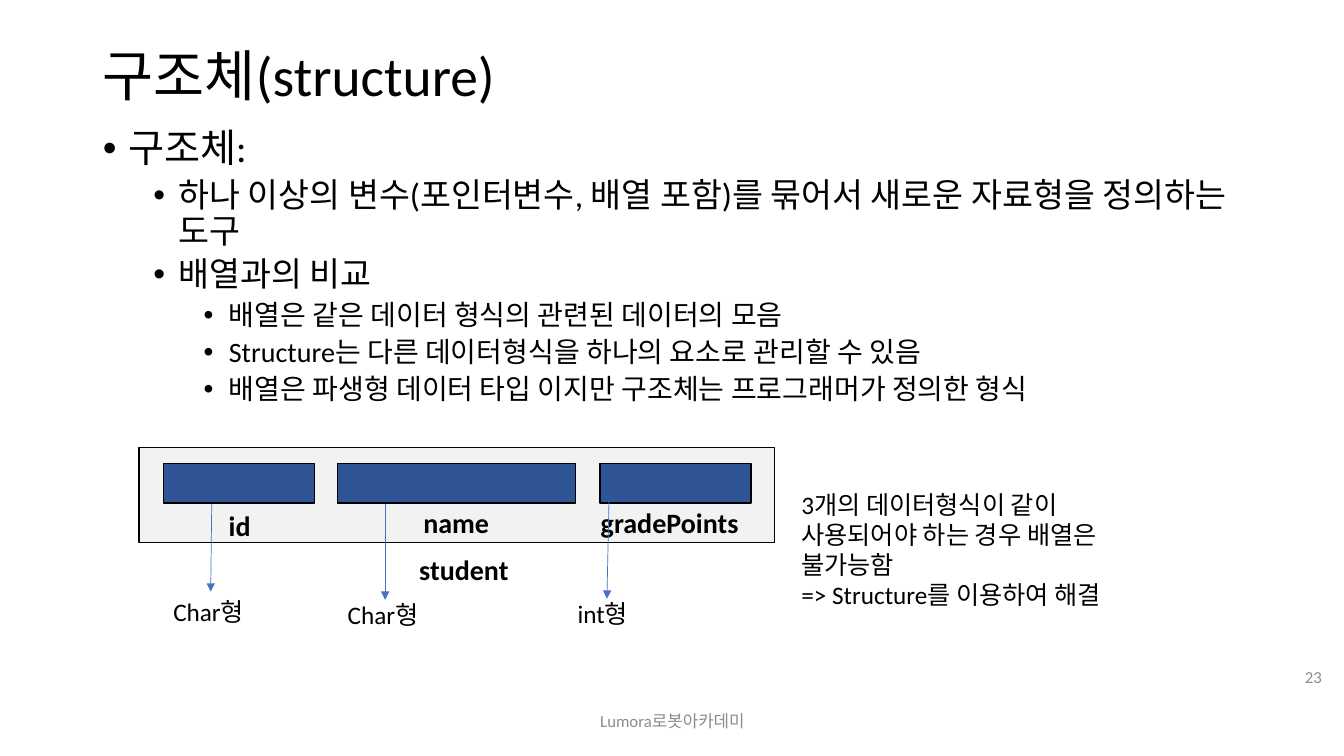
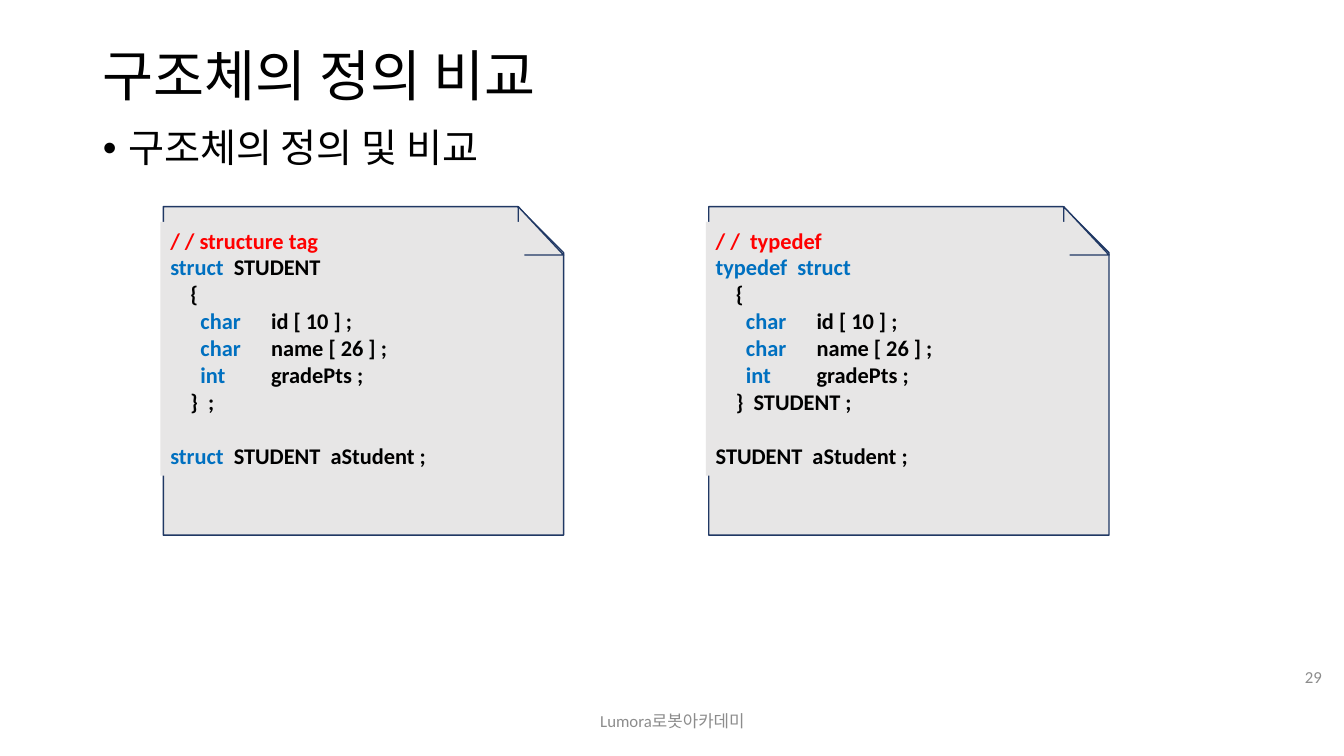
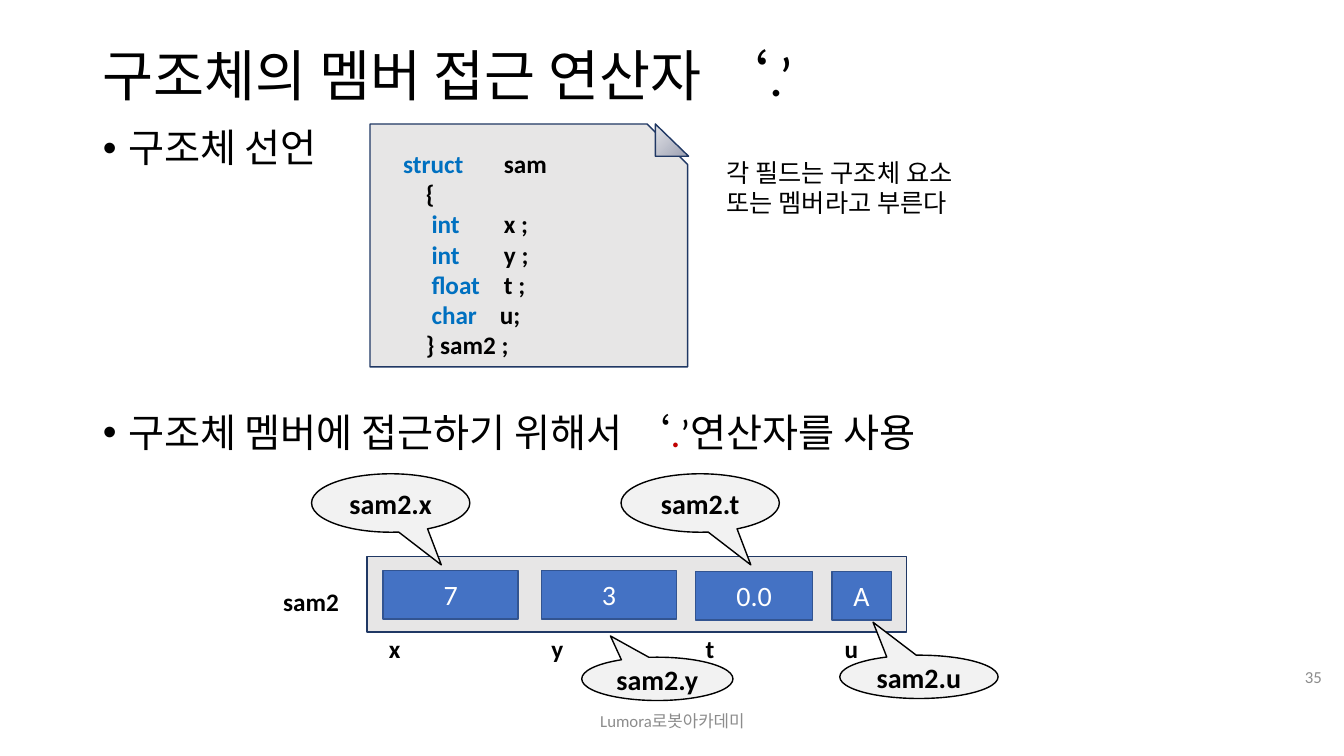
from dataclasses import dataclass
from typing import Any, NamedTuple, Sequence

from lxml import etree
from pptx import Presentation
from pptx.dml.color import RGBColor
from pptx.enum.shapes import MSO_CONNECTOR, MSO_SHAPE
from pptx.enum.text import MSO_ANCHOR, MSO_AUTO_SIZE, PP_ALIGN
from pptx.oxml.ns import qn
from pptx.util import Inches, Pt

RECT = MSO_SHAPE.RECTANGLE
SNIPPED = MSO_SHAPE.SNIP_1_RECTANGLE
FOLD = MSO_SHAPE.RIGHT_TRIANGLE
CALLOUT = MSO_SHAPE.OVAL_CALLOUT
STRAIGHT = MSO_CONNECTOR.STRAIGHT
TOP, MIDDLE = MSO_ANCHOR.TOP, MSO_ANCHOR.MIDDLE
LEFT, CENTER, RIGHT = PP_ALIGN.LEFT, PP_ALIGN.CENTER, PP_ALIGN.RIGHT
NO_FIT = MSO_AUTO_SIZE.NONE


@dataclass(frozen=True)
class Theme:
    font: str = "Calibri"
    ink: str = "000000"
    white: str = "FFFFFF"
    muted: str = "8C8C8C"
    keyword: str = "0070C0"
    comment: str = "FF0000"
    operator: str = "C00000"
    panel: str = "F2F2F2"
    paper: str = "E7E6E6"
    navy: str = "203864"
    field: str = "2F5597"
    cell: str = "4472C4"
    cell_edge: str = "325491"
    fold_dark: str = "9DA1B3"
    fold_light: str = "E2E3E7"
    title: float = 39.6
    bullets: tuple[float, ...] = (28, 24, 20)
    label: float = 20
    note: float = 18
    code: float = 16
    footer: float = 12


THEME = Theme()


class Box(NamedTuple):
    left: float
    top: float
    width: float
    height: float


class Span(NamedTuple):
    text: str
    color: str = THEME.ink


class Bullet(NamedTuple):
    spans: Sequence[Span]
    level: int = 0
    space_before: float | None = None


class TextStyle(NamedTuple):
    size: float
    bold: bool = False
    align: Any = LEFT
    anchor: Any = TOP


@dataclass(frozen=True)
class Field:
    left: float
    width: float
    name: str
    name_box: Box
    kind: str
    kind_at: tuple[float, float]
    arrow: tuple[float, float, float, float]


@dataclass(frozen=True)
class Member:
    left: float
    top: float
    width: float
    value: str
    name: str
    name_left: float
    callout: Box
    pointer: tuple[float, float]


Line = Sequence[Span]
LABEL = TextStyle(THEME.label, bold=True)
NOTE = TextStyle(THEME.note)
MEMBER_NAME = TextStyle(THEME.note, bold=True)
CALLOUT_TEXT = TextStyle(THEME.label, True, CENTER, MIDDLE)
CELL_TEXT = TextStyle(THEME.label, False, CENTER, MIDDLE)
CODE = TextStyle(THEME.code, bold=True)
TITLE_BOX = Box(0.92, 0.4, 11.5, 0.75)
BODY_BOX = Box(0.92, 1.23, 11.5, 5.53)
FOOTER_TEXT = "Lumora로봇아카데미"


def plain(text: str, color: str = THEME.ink) -> list[Span]:
    return [Span(text, color)]


def key(text: str) -> Span:
    return Span(text, THEME.keyword)


def emu(box: Box) -> list[int]:
    return [Inches(length) for length in box]


def place(shape: Any, box: Box) -> None:
    shape.left, shape.top, shape.width, shape.height = emu(box)


def write_line(paragraph: Any, spans: Line, size: float, bold: bool = False) -> None:
    for span in spans:
        run = paragraph.add_run()
        run.text = span.text
        run.font.name = THEME.font
        run.font.size = Pt(size)
        run.font.bold = bold
        run.font.color.rgb = RGBColor.from_string(span.color)


def write(shape: Any, lines: Sequence[Line], style: TextStyle) -> None:
    frame = shape.text_frame
    frame.word_wrap = True
    frame.auto_size = NO_FIT
    frame.vertical_anchor = style.anchor
    gap = 0.0
    for index, spans in enumerate(lines):
        if not spans:
            gap = style.size * 1.22
            continue
        paragraph = frame.add_paragraph() if index else frame.paragraphs[0]
        paragraph.alignment = style.align
        if gap:
            paragraph.space_before = Pt(gap)
            gap = 0.0
        write_line(paragraph, spans, style.size, style.bold)


def add_text(shapes: Any, box: Box, lines: Sequence[Line], style: TextStyle) -> None:
    write(shapes.add_textbox(*emu(box)), lines, style)


def add_block(shapes: Any, preset: Any, box: Box, fill: str, line: str | None) -> Any:
    block = shapes.add_shape(preset, *emu(box))
    block.shadow.inherit = False
    block.fill.solid()
    block.fill.fore_color.rgb = RGBColor.from_string(fill)
    if line:
        block.line.color.rgb = RGBColor.from_string(line)
        block.line.width = Pt(1)
    else:
        block.line.fill.background()
    return block


def add_arrow(shapes: Any, ends: tuple[float, float, float, float]) -> None:
    arrow = shapes.add_connector(STRAIGHT, *[Inches(end) for end in ends])
    arrow.line.color.rgb = RGBColor.from_string(THEME.cell)
    arrow.line.width = Pt(0.5)
    etree.SubElement(arrow.line._get_or_add_ln(), qn("a:tailEnd"), type="triangle")
    etree.SubElement(arrow._element.spPr, qn("a:effectLst"))


def add_bullet(paragraph: Any, bullet: Bullet) -> None:
    paragraph.level = bullet.level
    paragraph.alignment = LEFT
    paragraph.line_spacing = 0.9
    if bullet.space_before is not None:
        paragraph.space_before = Pt(bullet.space_before)
    properties = paragraph._p.get_or_add_pPr()
    properties.set("marL", str(Inches(0.25 + 0.5 * bullet.level)))
    properties.set("indent", str(Inches(-0.25)))
    etree.SubElement(properties, qn("a:buFont"), typeface="Arial")
    etree.SubElement(properties, qn("a:buChar"), char="•")
    write_line(paragraph, bullet.spans, THEME.bullets[bullet.level])


def add_slide(deck: Any, title: str, number: str, bullets: Sequence[Bullet]) -> Any:
    slide = deck.slides.add_slide(deck.slide_layouts[1])
    heading, body = slide.shapes.title, slide.placeholders[1]
    place(heading, TITLE_BOX)
    write(heading, [plain(title)], TextStyle(THEME.title, anchor=MIDDLE))
    heading.text_frame.paragraphs[0].line_spacing = 0.9
    place(body, BODY_BOX)
    frame = body.text_frame
    frame.auto_size = NO_FIT
    for index, bullet in enumerate(bullets):
        add_bullet(frame.add_paragraph() if index else frame.paragraphs[0], bullet)
    for box, text, align in (
        (Box(4.42, 6.95, 4.5, 0.4), FOOTER_TEXT, CENTER),
        (Box(12.59, 6.51, 0.62, 0.4), number, RIGHT),
    ):
        style = TextStyle(THEME.footer, align=align, anchor=MIDDLE)
        add_text(slide.shapes, box, [plain(text, THEME.muted)], style)
    return slide


def build_structure(deck: Any) -> None:
    bullets = [
        Bullet(plain("구조체:")),
        Bullet(plain("하나 이상의 변수(포인터변수, 배열 포함)를 묶어서 새로운 자료형을 정의하는 도구"), 1, 5),
        Bullet(plain("배열과의 비교"), 1, 5),
        Bullet(plain("배열은 같은 데이터 형식의 관련된 데이터의 모음"), 2, 5),
        Bullet(plain("Structure는 다른 데이터형식을 하나의 요소로 관리할 수 있음"), 2, 5),
        Bullet(plain("배열은 파생형 데이터 타입 이지만 구조체는 프로그래머가 정의한 형식"), 2, 5),
    ]
    shapes = add_slide(deck, "구조체(structure)", "23", bullets).shapes
    fields = [
        Field(1.62, 1.5, "id", Box(2.17, 5, 0.63, 0.44),
              "Char형", (1.62, 5.87), (2.1, 5, 2.09, 5.87)),
        Field(3.35, 2.36, "name", Box(4.1, 4.97, 1.1, 0.44),
              "Char형", (3.35, 5.9), (3.82, 5, 3.82, 5.95)),
        Field(5.95, 1.5, "gradePoints", Box(5.86, 4.97, 1.82, 0.44),
              "int형", (5.63, 5.89), (6.04, 4.97, 6.02, 5.94)),
    ]
    add_block(shapes, RECT, Box(1.38, 4.44, 6.3, 0.94), THEME.panel, THEME.ink)
    for field in fields:
        add_block(shapes, RECT, Box(field.left, 4.6, field.width, 0.39), THEME.field, THEME.ink)
        add_text(shapes, field.name_box, [plain(field.name)], LABEL)
        add_arrow(shapes, field.arrow)
        add_text(shapes, Box(*field.kind_at, 1.21, 0.41), [plain(field.kind)], NOTE)
    add_text(shapes, Box(4.06, 5.43, 1.57, 0.44), [plain("student")], LABEL)
    remark = [
        plain("3개의 데이터형식이 같이 사용되어야 하는 경우 배열은 불가능함"),
        plain("=> Structure를 이용하여 해결"),
    ]
    add_text(shapes, Box(7.85, 4.8, 3.4, 1.31), remark, NOTE)


def add_code_sheet(shapes: Any, left: float, code: Sequence[Line]) -> None:
    sheet = shapes.add_group_shape().shapes
    page = add_block(sheet, SNIPPED, Box(left, 2.05, 3.97, 3.26), THEME.paper, THEME.navy)
    page.adjustments[0] = 0.14
    add_block(sheet, FOLD, Box(left + 3.52, 2.05, 0.45, 0.48), THEME.paper, THEME.navy)
    listing = add_block(sheet, RECT, Box(left - 0.03, 2.2, 3.61, 2.52), THEME.paper, None)
    write(listing, code, CODE)


def build_comparison(deck: Any) -> None:
    bullets = [Bullet(plain("구조체의 정의 및 비교"))]
    shapes = add_slide(deck, "구조체의 정의 비교", "29", bullets).shapes
    members: list[Line] = [
        plain("    {"),
        [key("      char\t"), Span("id [ 10 ] ;")],
        [key("      char\t"), Span("name [ 26 ] ;")],
        [key("      int\t"), Span("gradePts ;")],
    ]
    tagged = [
        plain("/ / structure tag", THEME.comment),
        [key("struct "), Span(" STUDENT")],
        *members,
        plain("    }  ;"),
        [],
        [key("struct  "), Span("STUDENT  aStudent ;")],
    ]
    typedef = [
        plain("/ /  typedef", THEME.comment),
        [key("typedef  struct")],
        *members,
        plain("    }  STUDENT ;"),
        [],
        plain("STUDENT  aStudent ;"),
    ]
    for left, code in ((1.62, tagged), (7.03, typedef)):
        add_code_sheet(shapes, left, code)


def build_member_access(deck: Any) -> None:
    bullets = [
        Bullet(plain("구조체 선언")),
        Bullet([Span("구조체 멤버에 접근하기 위해서 ‘"), Span(".", THEME.operator),
                Span("’연산자를 사용")], 0, 173),
    ]
    shapes = add_slide(deck, "구조체의 멤버 접근 연산자 ‘.’", "35", bullets).shapes
    add_block(shapes, SNIPPED, Box(3.67, 1.23, 3.15, 2.41), THEME.paper, THEME.navy)
    fold = add_block(shapes, FOLD, Box(6.5, 1.23, 0.33, 0.32), THEME.paper, THEME.navy)
    fold.fill.gradient()
    fold.fill.gradient_angle = 135
    for stop, color in zip(fold.fill.gradient_stops, (THEME.fold_dark, THEME.fold_light)):
        stop.color.rgb = RGBColor.from_string(color)
    declaration = [
        [key("struct\t"), Span("sam")],
        plain("    {"),
        [key("     int \t"), Span("x ;")],
        [key("     int\t"), Span("y ;")],
        [key("     float"), Span("\tt ;")],
        [key("     char"), Span("    u;")],
        plain("    } sam2 ;"),
    ]
    add_text(shapes, Box(3.9, 1.42, 2.83, 2.22), declaration, MEMBER_NAME)
    remark = plain("각 필드는 구조체 요소 또는 멤버라고 부른다")
    add_text(shapes, Box(7.11, 1.51, 2.47, 1.01), [remark], NOTE)

    members = [
        Member(3.8, 5.66, 1.34, "7", "x", 3.76, Box(3.09, 4.7, 1.57, 0.58), (0.32, 1.06)),
        Member(5.37, 5.66, 1.34, "3", "y", 5.37, Box(5.77, 6.52, 1.5, 0.43), (-0.31, -0.99)),
        Member(6.9, 5.67, 1.16, "0.0", "t", 6.9, Box(6.16, 4.7, 1.57, 0.58), (0.32, 1.06)),
        Member(8.25, 5.67, 0.59, "A", "u", 8.28, Box(8.33, 6.5, 1.57, 0.43), (-0.29, -1.26)),
    ]
    add_block(shapes, RECT, Box(3.64, 5.52, 5.35, 0.75), THEME.paper, THEME.navy)
    add_text(shapes, Box(2.71, 5.77, 0.94, 0.4), [plain("sam2")], MEMBER_NAME)
    for member in members:
        cell_box = Box(member.left, member.top, member.width, 0.48)
        cell = add_block(shapes, RECT, cell_box, THEME.cell, THEME.cell_edge)
        write(cell, [plain(member.value, THEME.white)], CELL_TEXT)
        name_box = Box(member.name_left, 6.23, 0.94, 0.4)
        add_text(shapes, name_box, [plain(member.name)], MEMBER_NAME)
    for member in members:
        callout = add_block(shapes, CALLOUT, member.callout, THEME.panel, THEME.ink)
        callout.adjustments[0], callout.adjustments[1] = member.pointer
        write(callout, [plain(f"sam2.{member.name}")], CALLOUT_TEXT)


def main() -> None:
    deck = Presentation()
    deck.slide_width, deck.slide_height = Inches(13.33), Inches(7.5)
    for build in (build_structure, build_comparison, build_member_access):
        build(deck)
    deck.save("out.pptx")


if __name__ == "__main__":
    main()
